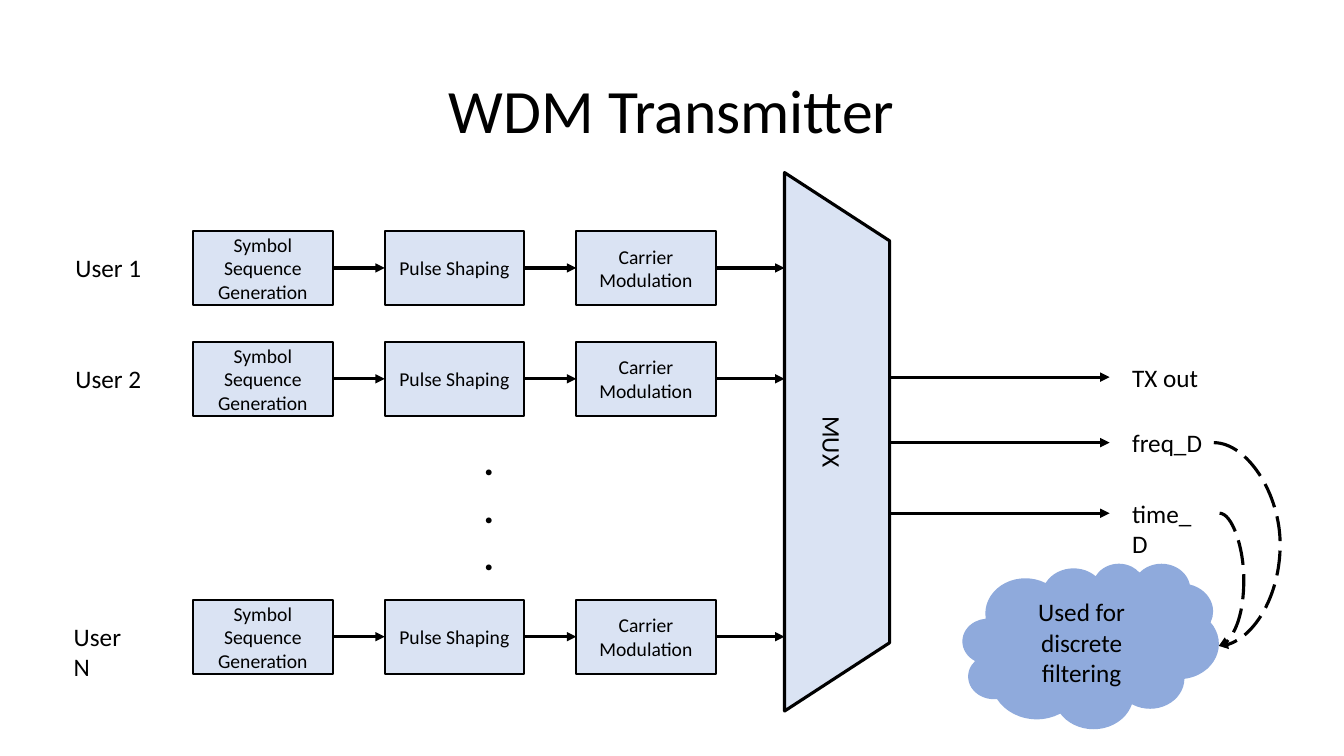
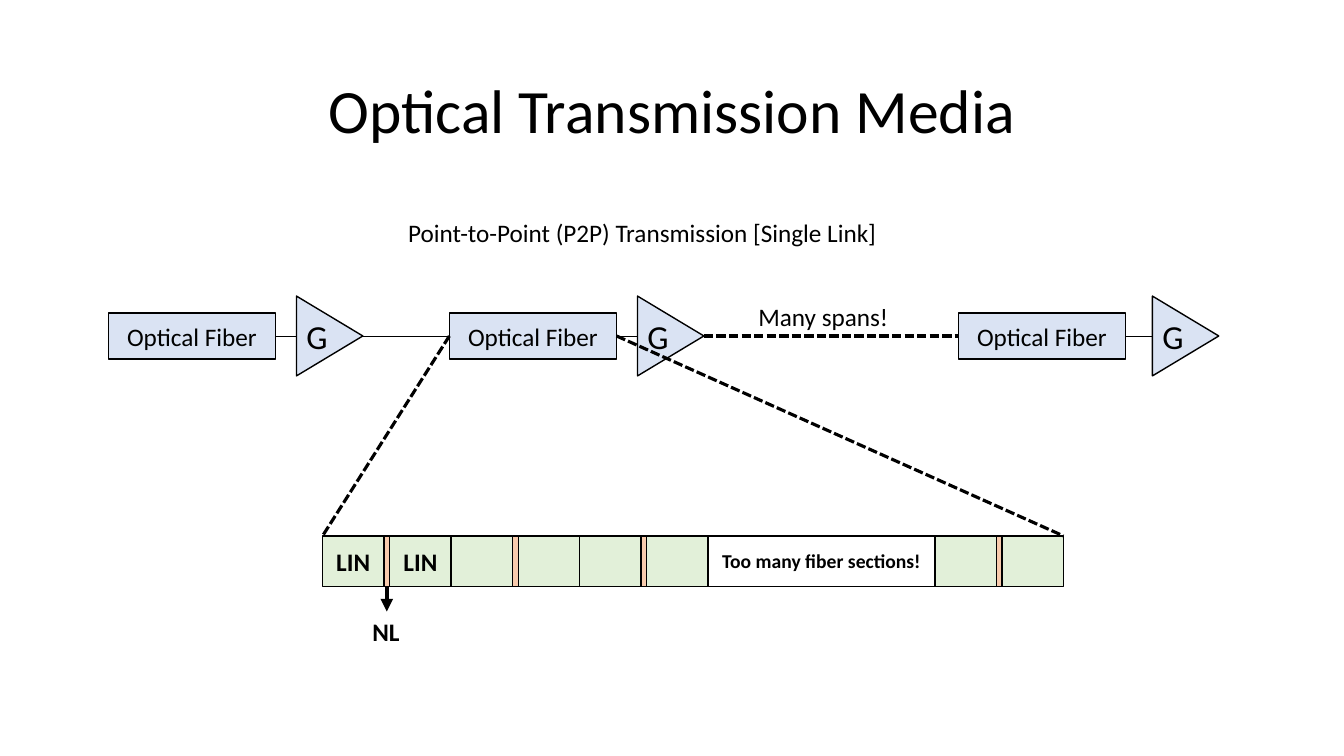
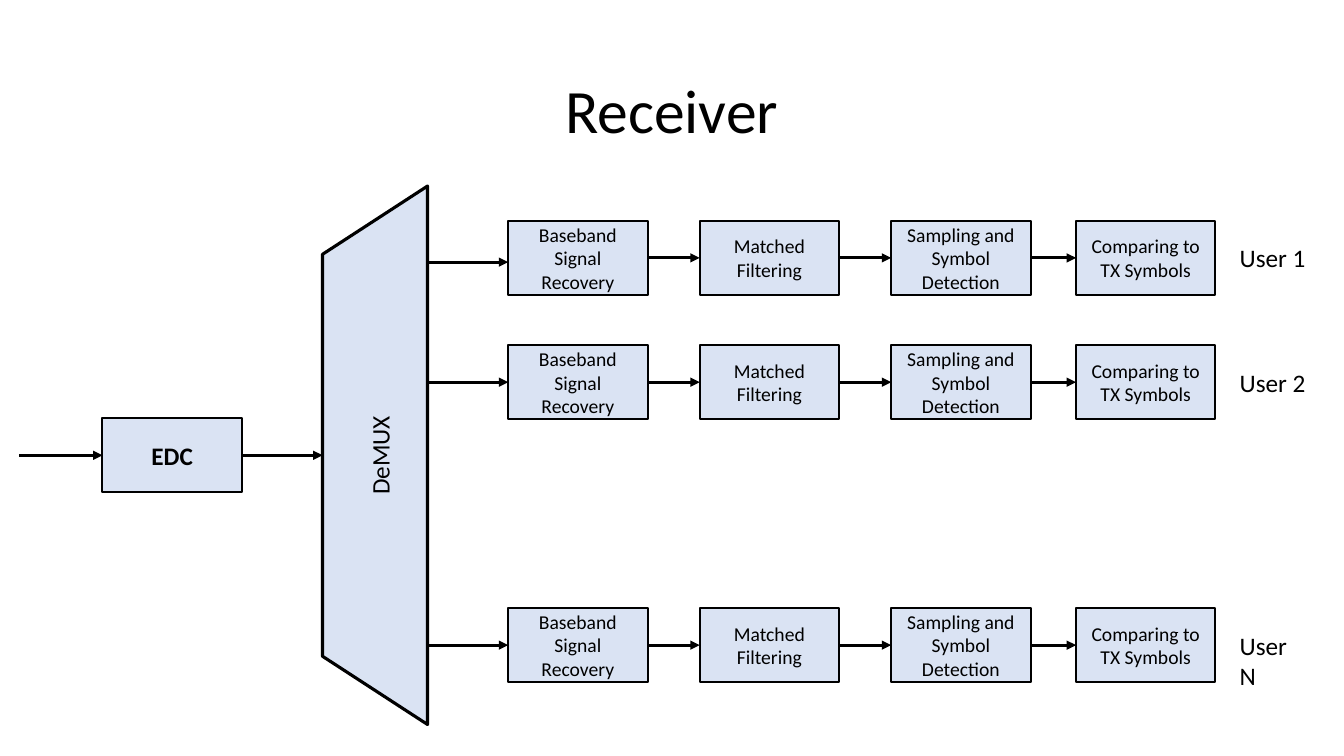
import lxml.etree
import pptx
import pptx.dml.color
import pptx.enum.dml
import pptx.enum.shapes
import pptx.enum.text
import pptx.oxml.ns
import pptx.util

SHAPE = pptx.enum.shapes.MSO_SHAPE
CONNECTOR = pptx.enum.shapes.MSO_CONNECTOR
DASH = pptx.enum.dml.MSO_LINE
ALIGN = pptx.enum.text.PP_ALIGN
qn = pptx.oxml.ns.qn

COLORS = {
    "ink": "000000",
    "paper": "FFFFFF",
    "block": "DAE3F3",
    "cloud": "8FAADC",
    "linear": "E2F0D9",
    "nonlinear": "F8CBAD",
}
FONT = "Calibri"

# Grid of 160 columns by 90 rows; all lengths below are counted in its cells
COLUMNS, ROWS = 160, 90
CELL = pptx.util.Inches(7.5) / ROWS

# Blocks and multiplexers have one size on every slide
BLOCK_W, BLOCK_H = 16.6, 8.8
MUX_LENGTH, MUX_DEPTH = 64.1, 12.5
TOP, LEFT, BOTTOM, RIGHT = range(4)


def cells(count):
    return pptx.util.Emu(round(count * CELL))


def color(name):
    return pptx.dml.color.RGBColor.from_string(COLORS[name])


def write(frame, text, size=18, bold=False, align=ALIGN.CENTER, spacing=None):
    """Fill a text frame, one paragraph per line of text."""
    for number, line in enumerate(text.split("\n")):
        paragraph = frame.add_paragraph() if number else frame.paragraphs[0]
        paragraph.alignment = align
        paragraph.line_spacing = spacing
        run = paragraph.add_run()
        run.text = line
        run.font.name = FONT
        run.font.size = pptx.util.Pt(size)
        run.font.bold = bold
        run.font.color.rgb = color("ink")


class Deck:
    def __init__(self):
        self.file = pptx.Presentation()
        self.file.slide_width = cells(COLUMNS)
        self.file.slide_height = cells(ROWS)
        self.layout = self.file.slide_layouts.get_by_name("Title Only")
        self.slide = None

    def new_slide(self, title):
        self.slide = self.file.slides.add_slide(self.layout)
        heading = self.slide.shapes.title
        heading.left, heading.top = cells(11), cells(4.8)
        heading.width, heading.height = cells(138), cells(17.4)
        heading.text_frame.vertical_anchor = pptx.enum.text.MSO_ANCHOR.MIDDLE
        write(heading.text_frame, title, size=44, spacing=0.9)

    def shape(self, kind, x, middle, w, h, fill="block", line=1.5, text="", **font):
        """Preset shape given by its left edge and its vertical middle."""
        shape = self.slide.shapes.add_shape(
            kind, cells(x), cells(middle - h / 2), cells(w), cells(h))
        shape.shadow.inherit = False
        shape.fill.solid()
        shape.fill.fore_color.rgb = color(fill)
        if line:
            shape.line.color.rgb = color("ink")
            shape.line.width = pptx.util.Pt(line)
        else:
            shape.line.fill.background()
        if text:
            write(shape.text_frame, text, **font)
        return shape

    def block(self, text, x, middle, size=14, bold=False):
        return self.shape(SHAPE.RECTANGLE, x, middle, BLOCK_W, BLOCK_H,
                          text=text, size=size, bold=bold)

    def mux(self, text, x, middle, turn):
        """Trapezoid on its side; x is the left edge as seen."""
        mux = self.shape(SHAPE.TRAPEZOID, x + (MUX_DEPTH - MUX_LENGTH) / 2, middle,
                         MUX_LENGTH, MUX_DEPTH, line=2.25, text=text)
        mux.adjustments[0] = 0.65
        mux.rotation = turn

    def label(self, text, x, y, w, h=4.8, size=18, bold=False):
        box = self.slide.shapes.add_textbox(cells(x), cells(y), cells(w), cells(h))
        box.text_frame.word_wrap = False
        box.text_frame.auto_size = pptx.enum.text.MSO_AUTO_SIZE.SHAPE_TO_FIT_TEXT
        write(box.text_frame, text, size=size, bold=bold, align=ALIGN.LEFT)
        return box

    def link(self, start, end, width=2.25, arrow=True, dash=None, bulge=None):
        """Connector between ends given as (column, row) or (shape, side)."""
        joins = [not isinstance(place, (int, float)) for place, _ in (start, end)]
        points = [(0, 0) if joined else (cells(spot[0]), cells(spot[1]))
                  for joined, spot in zip(joins, (start, end))]
        kind = CONNECTOR.STRAIGHT if bulge is None else CONNECTOR.CURVE
        link = self.slide.shapes.add_connector(kind, *points[0], *points[1])
        if joins[0]:
            link.begin_connect(*start)
        if joins[1]:
            link.end_connect(*end)
        link.line.color.rgb = color("ink")
        link.line.width = pptx.util.Pt(width)
        if dash is not None:
            link.line.dash_style = dash
        properties = link.element.spPr
        if arrow:
            lxml.etree.SubElement(properties.find(qn("a:ln")), qn("a:tailEnd"),
                                  type="triangle")
        lxml.etree.SubElement(properties, qn("a:effectLst"))
        if bulge is not None:
            share = (bulge - start[0]) / (end[0] - start[0])
            geometry = properties.find(qn("a:prstGeom"))
            guides = geometry.find(qn("a:avLst"))
            if guides is None:
                guides = lxml.etree.SubElement(geometry, qn("a:avLst"))
            lxml.etree.SubElement(guides, qn("a:gd"), name="adj1",
                                  fmla=f"val {round(share * 100000)}")

    def chain(self, steps, columns, middle):
        """Row of blocks with an arrow from each to the next."""
        blocks = [self.block(step, x, middle) for step, x in zip(steps, columns)]
        for before, after in zip(blocks, blocks[1:]):
            self.link((before, RIGHT), (after, LEFT))
        return blocks


def transmitter(deck):
    deck.new_slide("WDM Transmitter")
    mux_x = 93.4
    deck.mux("MUX", mux_x, 52.6, 90)

    # One chain per user into the multiplexer
    steps = ["Symbol Sequence Generation", "Pulse Shaping", "Carrier Modulation"]
    columns = [23 + 22.8 * step for step in range(len(steps))]
    for user, middle, x in (("1", 31.9, 7.8), ("2", 45.1, 7.8), ("N", 75.8, 7.6)):
        deck.label(f"User {user}", x, middle - 2.4, 10.6)
        last = deck.chain(steps, columns, middle)[-1]
        deck.link((last, RIGHT), (mux_x, middle))
    deck.label(".\n.\n.", 56.4, 51.4, 3.7, 18.1, size=28, bold=True)

    # Outputs
    for output, y in (("TX out", 44.9), ("freq_D", 52.7), ("time_D", 61.1)):
        deck.link((mux_x + MUX_DEPTH, y), (132.1, y))
        deck.label(output, 133.6, y - 2.4, 11)

    # Note on the two discrete outputs
    deck.shape(SHAPE.CLOUD, 114.6, 76.9, 30.5, 19.7, fill="cloud", line=None,
               text="Used for discrete filtering")
    for start, bulge in (((144.5, 52.7), 152.4), ((145.2, 61.1), 148.1)):
        deck.link(start, (145.1, 76.9), dash=DASH.LONG_DASH, bulge=bulge)


def media(deck):
    deck.new_slide("Optical Transmission Media")
    deck.label("Point-to-Point (P2P) Transmission [Single Link]", 47.4, 25.3, 58.8)

    # Spans, each a fiber and its amplifier
    axis = 40
    spans = []
    for fiber_x, gain_x in ((12.9, 35.3), (53.5, 75.9), (114.1, 137.2)):
        fiber = deck.shape(SHAPE.RECTANGLE, fiber_x, axis, 19.9, 5.5, line=1,
                           text="Optical Fiber")
        gain = deck.shape(SHAPE.PENTAGON, gain_x, axis, 7.9, 9.5, line=1,
                          text="G", size=24)
        gain.adjustments[0] = 2.17
        deck.link((fiber, RIGHT), (gain, LEFT), width=0.5, arrow=False)
        spans.append((fiber, gain))
    (_, first_gain), (zoomed, second_gain), (last_fiber, _) = spans
    deck.link((first_gain, RIGHT), (zoomed, LEFT), width=0.5, arrow=False)
    deck.link((second_gain, RIGHT), (last_fiber, LEFT), arrow=False,
              dash=DASH.SQUARE_DOT)
    deck.label("Many spans!", 89.1, 35.3, 18.1)

    # Fiber sections: linear, nonlinear, linear
    strip_x, strip_y, strip_h = 38.4, 63.8, 6
    linear, nonlinear, gap = 7.3, 0.7, 27
    section = 2 * linear + nonlinear
    gap_x = strip_x + 3 * section
    strip_end = gap_x + gap + section

    def piece(x, w, fill, **text):
        return deck.shape(SHAPE.RECTANGLE, x, strip_y + strip_h / 2, w, strip_h,
                          fill=fill, line=1, bold=True, **text)

    starts = [strip_x + section * number for number in range(3)] + [gap_x + gap]
    kinks = []
    for x in starts:
        text = "LIN" if x == strip_x else ""
        piece(x, linear, "linear", text=text)
        kinks.append(piece(x + linear, nonlinear, "nonlinear"))
        piece(x + linear + nonlinear, linear, "linear", text=text)
    piece(gap_x, gap, "paper", text="Too many fiber sections!", size=14)

    # Nonlinear mark and zoom lines
    mark = deck.label("NL", 43.15, 72.8, 5.8, bold=True)
    deck.link((kinks[0], BOTTOM), (mark, TOP), width=3)
    for side, corner in ((LEFT, strip_x), (RIGHT, strip_end)):
        deck.link((zoomed, side), (corner, strip_y), arrow=False,
                  dash=DASH.SQUARE_DOT)


def receiver(deck):
    deck.new_slide("Receiver")
    demux_x, axis = 38.4, 54.2
    demux_end = demux_x + MUX_DEPTH
    deck.mux("DeMUX", demux_x, axis, 270)

    # Input
    edc = deck.block("EDC", 12.2, axis, size=18, bold=True)
    deck.link((2.3, axis), (edc, LEFT))
    deck.link((edc, RIGHT), (demux_x, axis))

    # One chain per user out of the demultiplexer
    steps = ["Baseband Signal Recovery", "Matched Filtering",
             "Sampling and Symbol Detection", "Comparing to TX Symbols"]
    columns = [60.5, 83.3, 106.1, 128.1]
    for user, middle, tap in (("1", 30.7, 31.2), ("2", 45.5, 45.5), ("N", 76.8, 76.8)):
        first = deck.chain(steps, columns, middle)[0]
        target = (first, LEFT) if tap == middle else (columns[0], tap)
        deck.link((demux_end, tap), target)
        deck.label(f"User {user}", 146.4, middle - 2.4, 10.6)


def main():
    deck = Deck()
    transmitter(deck)
    media(deck)
    receiver(deck)
    deck.file.save("out.pptx")


if __name__ == "__main__":
    main()
